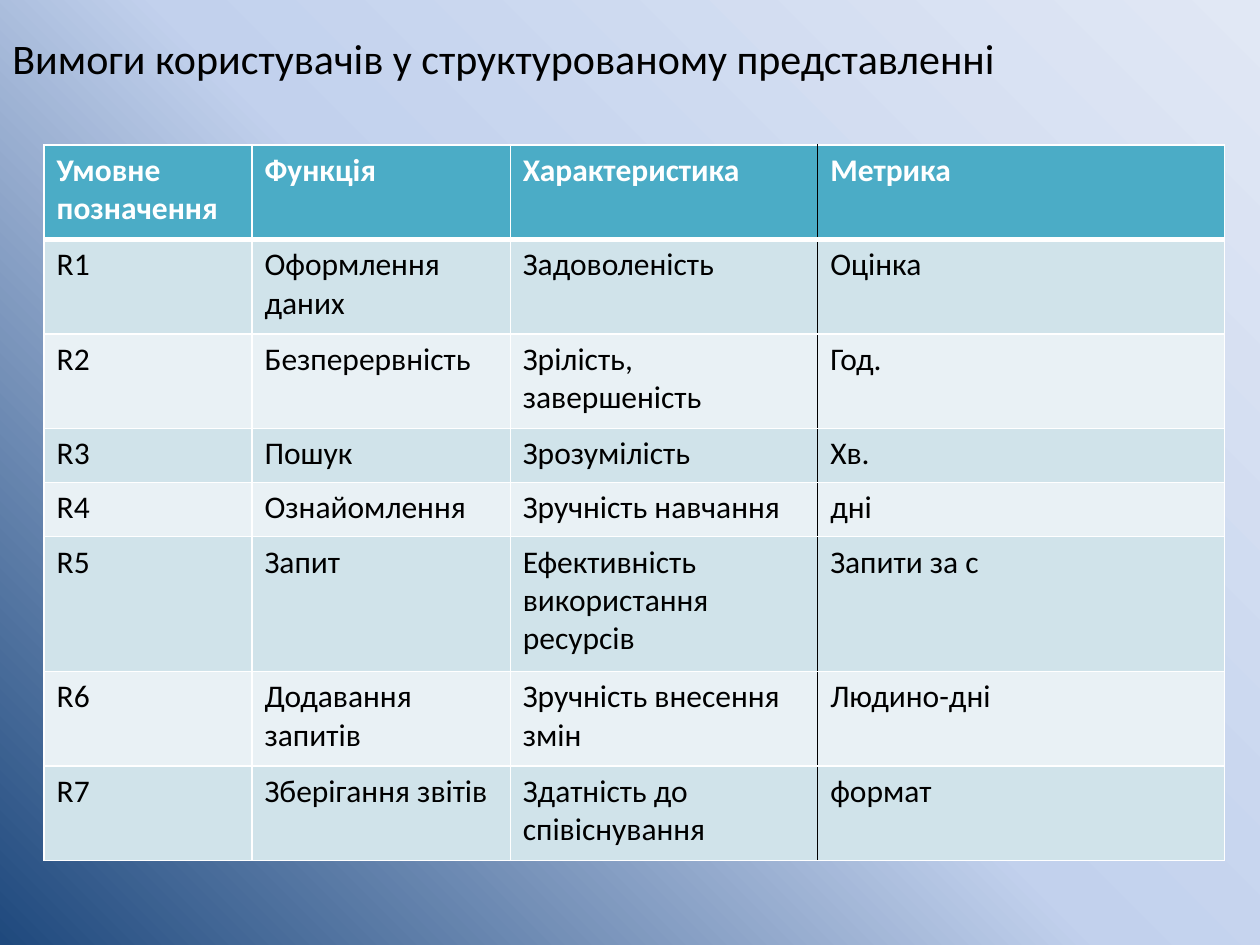
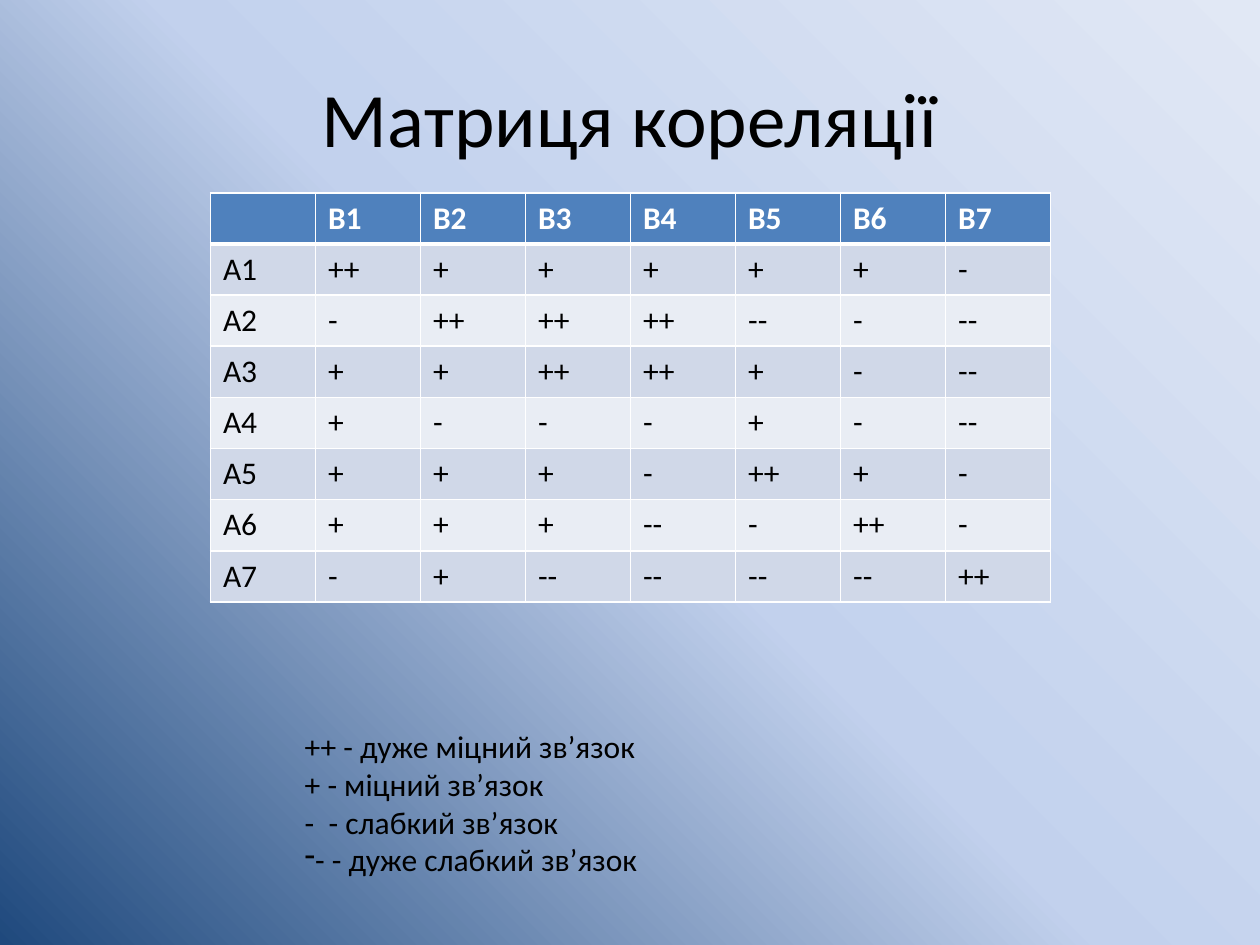
from pptx import Presentation, oxml
from pptx import util as u
from pptx.dml import color
from pptx.enum import text
from pptx.oxml import ns


class Theme:
    font = "Calibri"
    ink, white = "000000", "FFFFFF"
    teal = ("4BACC6", "D0E3EA", "E9F1F5")
    blue = ("4F81BD", "D0D8E8", "E9EDF4")
    fade = ((0, "1F497D"), (50, "C2D1ED"), (100, "E1E8F5"))
    body, head, title = 18, 24, 44


def style(frame, size, tint=Theme.ink, bold=False):
    for para in frame.paragraphs:
        for run in para.runs:
            run.font.name = Theme.font
            run.font.size = u.Pt(size)
            run.font.bold = bold
            run.font.color.rgb = color.RGBColor.from_string(tint)


def grid(slide, rows, left, top, wide, high, tints, dark=None):
    table = slide.shapes.add_table(
        len(rows), len(wide), u.Inches(left), u.Inches(top),
        u.Inches(sum(wide)), u.Inches(sum(high))).table
    for col, size in zip(table.columns, wide):
        col.width = u.Inches(size)
    for row, size in zip(table.rows, high):
        row.height = u.Inches(size)
    for r, row in enumerate(rows):
        for c, word in enumerate(row):
            cell = table.cell(r, c)
            cell.text_frame.text = word
            style(cell.text_frame, Theme.body,
                  Theme.ink if r else Theme.white, r == 0)
            tint = tints[0] if r == 0 else tints[1 if r % 2 else 2]
            cell.fill.solid()
            cell.fill.fore_color.rgb = color.RGBColor.from_string(tint)
            edges = (
                ("lnL", 1, Theme.ink if c == dark else Theme.white),
                ("lnR", 1, Theme.ink if c + 1 == dark else Theme.white),
                ("lnT", 3 if r == 1 else 1, Theme.white),
                ("lnB", 3 if r == 0 else 1, Theme.white))
            props = cell._tc.get_or_add_tcPr()
            for spot, (side, size, tint) in enumerate(edges):
                props.insert(spot, oxml.parse_xml(
                    f'<a:{side} {ns.nsdecls("a")} w="{u.Pt(size)}"><a:solidFill>'
                    f'<a:srgbClr val="{tint}"/></a:solidFill></a:{side}>'))


deck = Presentation()
deck.slide_width, deck.slide_height = u.Inches(10), u.Inches(7.5)
stops = "".join(f'<a:gs pos="{pos * 1000}"><a:srgbClr val="{tint}"/></a:gs>'
                for pos, tint in Theme.fade)
slides = [deck.slides.add_slide(deck.slide_layouts[6]) for _ in range(2)]
for slide in slides:
    slide.background.fill.gradient()
    old = next(slide.element.iter(ns.qn("a:gradFill")))
    old.getparent().replace(old, oxml.parse_xml(
        f'<a:gradFill {ns.nsdecls("a")} rotWithShape="1"><a:gsLst>{stops}</a:gsLst>'
        '<a:path path="circle"><a:fillToRect t="100000" r="100000"/></a:path>'
        '</a:gradFill>'))
needs, matrix = slides

box = needs.shapes.add_textbox(
    u.Inches(0), u.Inches(0.21), u.Inches(8.07), u.Inches(0.5))
box.text_frame.text = "Вимоги користувачів у структурованому представленні"
box.text_frame.word_wrap = False
box.text_frame.auto_size = text.MSO_AUTO_SIZE.SHAPE_TO_FIT_TEXT
style(box.text_frame, Theme.head)

rows = [
    ("Умовне позначення", "Функція", "Характеристика", "Метрика"),
    ("R1", "Оформлення даних", "Задоволеність", "Оцінка"),
    ("R2", "Безперервність", "Зрілість, завершеність", "Год."),
    ("R3", "Пошук", "Зрозумілість", "Хв."),
    ("R4", "Ознайомлення", "Зручність навчання", "дні"),
    ("R5", "Запит", "Ефективність використання ресурсів", "Запити за с"),
    ("R6", "Додавання запитів", "Зручність внесення змін", "Людино-дні"),
    ("R7", "Зберігання звітів", "Здатність до співіснування", "формат"),
]
grid(needs, rows, 0.35, 1.15, (1.65, 2.05, 2.44, 3.23),
     (0.75, 0.75, 0.75, 0.43, 0.43, 1.07, 0.75, 0.75), Theme.teal, dark=3)

box = matrix.shapes.add_textbox(
    u.Inches(0.5), u.Inches(0.3), u.Inches(9), u.Inches(1.25))
box.text_frame.text = "Матриця кореляції"
box.text_frame.word_wrap = True
box.text_frame.vertical_anchor = text.MSO_ANCHOR.MIDDLE
box.text_frame.paragraphs[0].alignment = text.PP_ALIGN.CENTER
style(box.text_frame, Theme.title)

marks = (
    "++ + + + + + -",
    "- ++ ++ ++ -- - --",
    "+ + ++ ++ + - --",
    "+ - - - + - --",
    "+ + + - ++ + -",
    "+ + + -- - ++ -",
    "- + -- -- -- -- ++",
)
rows = [[""] + [f"В{n}" for n in range(1, 8)]]
rows += [[f"А{n}"] + line.split() for n, line in enumerate(marks, 1)]
grid(matrix, rows, 1.67, 1.53, [6.67 / 8] * 8, [3.25 / 8] * 8, Theme.blue)

box = matrix.shapes.add_textbox(
    u.Inches(2.32), u.Inches(5.72), u.Inches(2.92), u.Inches(1.31))
box.text_frame.text = "\n".join((
    "++ - дуже міцний зв’язок", "+ - міцний зв’язок",
    "-  - слабкий зв’язок", "- - дуже слабкий зв’язок"))
box.text_frame.word_wrap = False
box.text_frame.auto_size = text.MSO_AUTO_SIZE.SHAPE_TO_FIT_TEXT
style(box.text_frame, Theme.body)
props = box.text_frame.paragraphs[-1]._p.get_or_add_pPr()
props.append(oxml.parse_xml(f'<a:buChar {ns.nsdecls("a")} char="-"/>'))

deck.save("out.pptx")
